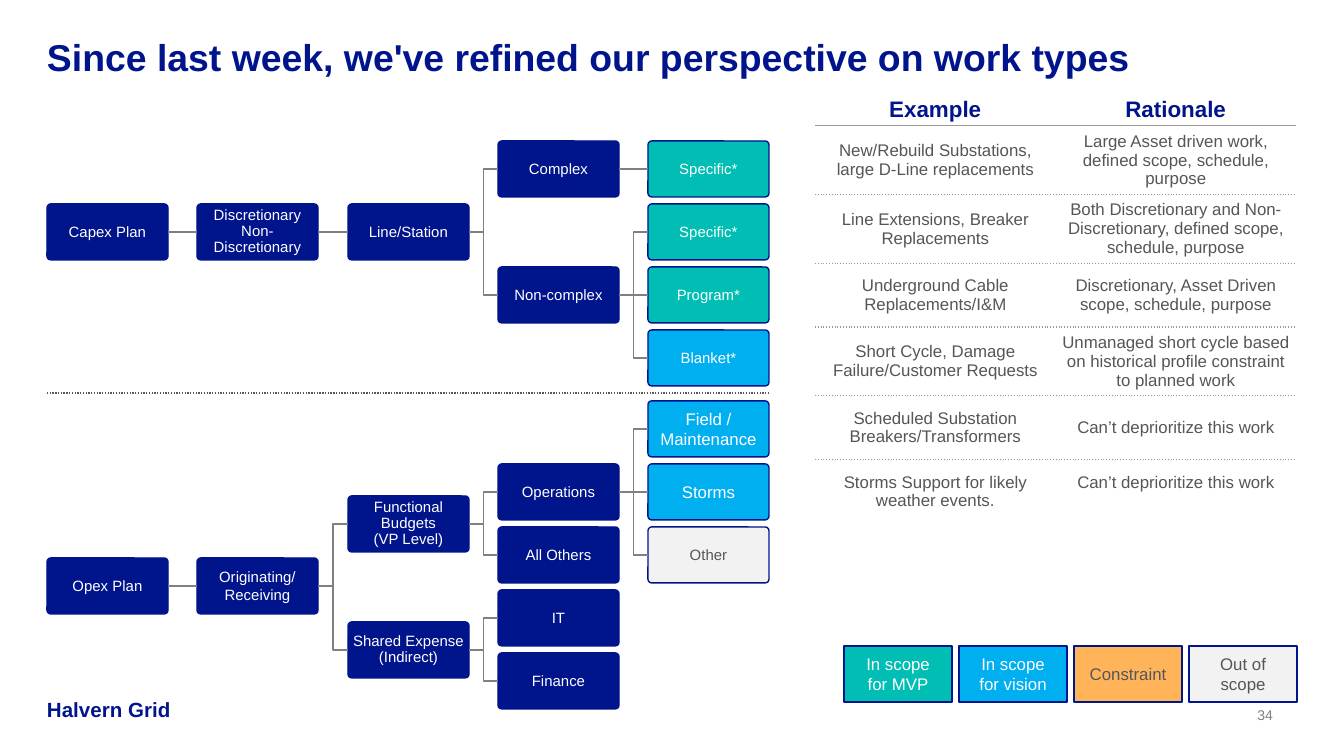
from dataclasses import dataclass
from lxml.etree import SubElement
from pptx import Presentation
from pptx.dml.color import RGBColor as RGB
from pptx.enum.dml import MSO_LINE as DASH
from pptx.enum.shapes import MSO_CONNECTOR as LINK, MSO_SHAPE as SHAPE
from pptx.enum.text import MSO_ANCHOR as ANCHOR, PP_ALIGN as ALIGN
from pptx.oxml import parse_xml
from pptx.oxml.ns import nsdecls, qn
from pptx.util import Pt

SCALE = 914400 / 134.4  # EMU in one px
WIDE, HIGH = 1344, 756
LEFT, STEP, RISE = 47, 150.25, 63  # tree columns and rows
BOX_W, BOX_H = 121, 56


@dataclass(frozen=True)
class Theme:
    font: str = "Arial"
    navy: str = "00148C"
    teal: str = "00BEB4"
    sky: str = "00AFF0"
    amber: str = "FFB45A"
    pale: str = "F2F2F2"
    white: str = "FFFFFF"
    ink: str = "55555A"
    wire: str = "808083"
    rule: str = "9A9A9A"
    faint: str = "808080"
    title: float = 20
    head: float = 12
    brand: float = 11
    body: float = 9
    node: float = 8
    page: float = 7.5
    line: float = 0.75


def emu(px):
    return round(px * SCALE)


def assign(item, values):
    for name, value in values.items():
        setattr(item, name, value)


class Deck:
    def __init__(self, theme):
        self.theme = theme
        self.file = Presentation()
        assign(self.file, {"slide_width": emu(WIDE), "slide_height": emu(HIGH)})
        self.slide = self.file.slides.add_slide(self.file.slide_layouts[6])

    def put(self, frame, text, size, color, bold=False, align=ALIGN.CENTER, lead=None):
        """Set the one paragraph of a text frame."""
        frame.text = text
        para = frame.paragraphs[0]
        assign(para, {"alignment": align, "line_spacing": lead})
        assign(para.font, {"name": self.theme.font, "size": Pt(size), "bold": bold})
        para.font.color.rgb = RGB.from_string(color)

    def pad(self, item, side, end):
        assign(item, {"margin_left": emu(side), "margin_right": emu(side),
                      "margin_top": emu(end), "margin_bottom": emu(end)})

    def stroke(self, line, color):
        line.color.rgb = RGB.from_string(color)
        line.width = Pt(self.theme.line)

    def label(self, area, text, size, color, anchor=ANCHOR.BOTTOM, **style):
        frame = self.slide.shapes.add_textbox(*map(emu, area)).text_frame
        assign(frame, {"word_wrap": True, "vertical_anchor": anchor})
        self.pad(frame, 0, 0)
        self.put(frame, text, size, color, **style)

    def box(self, area, text, fill, size, kind=SHAPE.RECTANGLE, pad=(0, 0), lead=None):
        theme = self.theme
        box = self.slide.shapes.add_shape(kind, *map(emu, area))
        box.shadow.inherit = False
        box.fill.solid()
        box.fill.fore_color.rgb = RGB.from_string(fill)
        self.stroke(box.line, theme.navy)
        frame = box.text_frame
        assign(frame, {"word_wrap": True, "vertical_anchor": ANCHOR.MIDDLE})
        self.pad(frame, *pad)
        color = theme.ink if fill in (theme.pale, theme.amber) else theme.white
        self.put(frame, text, size, color, lead=lead)
        return box

    def wire(self, start, end, color, kind=LINK.STRAIGHT):
        wire = self.slide.shapes.add_connector(kind, *map(emu, start + end))
        self.stroke(wire.line, color)
        SubElement(wire._element.spPr, qn("a:effectLst"))
        return wire

    def join(self, a, b):
        """Link the right side of box a to the left side of box b."""
        kind = LINK.STRAIGHT if a.top == b.top else LINK.ELBOW
        wire = self.wire((0, 0), (0, 0), self.theme.wire, kind)
        wire.begin_connect(a, 3)
        wire.end_connect(b, 1)

    def tree(self, node, depth=0):
        """Draw a node with all its branches and return its box."""
        text, row, fill, size, lead, kids = node
        top = (141 if row < 4 else 149) + RISE * row
        box = self.box((round(LEFT + STEP * depth), round(top), BOX_W, BOX_H),
                       text, fill, size, SHAPE.ROUNDED_RECTANGLE, lead=lead)
        box.adjustments[0] = 0.067
        for kid in kids:
            self.join(box, self.tree(kid, depth + 1))
        return box

    def edge(self, side, dash):
        """Make one cell border; without a dash it is hidden."""
        paint = "<a:noFill/>" if dash is None else (
            f'<a:solidFill><a:srgbClr val="{self.theme.rule}"/></a:solidFill>'
            f'<a:prstDash val="{dash}"/>')
        width = Pt(self.theme.line)
        return parse_xml(f'<a:ln{side} {nsdecls("a")} w="{width}">{paint}</a:ln{side}>')

    def table(self, area, rows, head_h, row_h):
        theme = self.theme
        grid = self.slide.shapes.add_table(len(rows), len(rows[0]), *map(emu, area)).table
        assign(grid, {"first_row": False, "horz_banding": False})
        dashes = [None, "solid"] + ["sysDot"] * (len(rows) - 2) + [None]
        for r, row in enumerate(rows):
            grid.rows[r].height = emu(row_h if r else head_h)
            for c, text in enumerate(row):
                cell = grid.cell(r, c)
                cell.fill.background()
                self.pad(cell, 4, 4)
                cell.vertical_anchor = ANCHOR.MIDDLE if r else ANCHOR.BOTTOM
                size, color = (theme.body, theme.ink) if r else (theme.head, theme.navy)
                self.put(cell.text_frame, text, size, color, bold=not r)
                sides = {"L": None, "R": None, "T": dashes[r], "B": dashes[r + 1]}
                props = cell._tc.get_or_add_tcPr()
                for spot, (side, dash) in enumerate(sides.items()):
                    props.insert(spot, self.edge(side, dash))
        return grid


def main():
    look = Theme()
    deck = Deck(look)

    def node(text, row, *kids, fill=look.navy, size=look.node, lead=None):
        return text, row, fill, size, lead, kids

    deck.label((LEFT, 39, 1249, 40), "Since last week, we've refined our perspective on work types",
               look.title, look.navy, ANCHOR.TOP, bold=True, align=ALIGN.LEFT, lead=0.9)
    deck.label((LEFT, 696, 160, 26), "Halvern Grid", look.brand, look.navy,
               bold=True, align=ALIGN.LEFT)
    deck.label((1231, 706, 42, 17), "34", look.page, look.faint, align=ALIGN.RIGHT)

    grid = deck.table((815, 91, 481, 418), [
        ("Example", "Rationale"),
        ("New/Rebuild Substations, large D-Line replacements",
         "Large Asset driven work, defined scope, schedule, purpose"),
        ("Line Extensions, Breaker Replacements",
         "Both Discretionary and Non-Discretionary, defined scope, schedule, purpose"),
        ("Underground Cable Replacements/I&M",
         "Discretionary, Asset Driven scope, schedule, purpose"),
        ("Short Cycle, Damage Failure/Customer Requests",
         "Unmanaged short cycle based on historical profile constraint to planned work"),
        ("Scheduled Substation Breakers/Transformers", "Can’t deprioritize this work"),
        ("Storms Support for likely weather events.", "Can’t deprioritize this work"),
    ], 34, 64)
    grid.cell(6, 1).margin_bottom = emu(23)  # lines up with the first line beside it

    capex = node("Capex Plan", 1, node(
        "Discretionary Non-Discretionary", 1, node(
            "Line/Station", 1,
            node("Complex", 0, node("Specific*", 0, fill=look.teal)),
            node("Non-complex", 2,
                 node("Specific*", 1, fill=look.teal),
                 node("Program*", 2, fill=look.teal),
                 node("Blanket*", 3, fill=look.sky))),
        lead=0.9))
    opex = node("Opex Plan", 6.5, node(
        "Originating/\vReceiving", 6.5,
        node("Functional Budgets\v(VP Level)", 5.5,
             node("Operations", 5,
                  node("Field / Maintenance", 4, fill=look.sky, size=look.body),
                  node("Storms", 5, fill=look.sky, size=look.body),
                  node("Other", 6, fill=look.pale)),
             node("All Others", 6), lead=0.9),
        node("Shared Expense (Indirect)", 7.5,
             node("IT", 7), node("Finance", 8), lead=0.9)))
    for root in (capex, opex):
        deck.tree(root)

    split = deck.wire((LEFT, 393), (769, 393), look.ink)
    split.line.dash_style = DASH.ROUND_DOT

    keys = {"In scope for MVP": look.teal, "In scope for vision": look.sky,
            "Constraint": look.amber, "Out of scope": look.pale}
    for i, (text, fill) in enumerate(keys.items()):
        deck.box((844 + 115 * i, 646, 108, BOX_H), text, fill, look.body, pad=(13, 7))

    deck.file.save("out.pptx")


if __name__ == "__main__":
    main()
